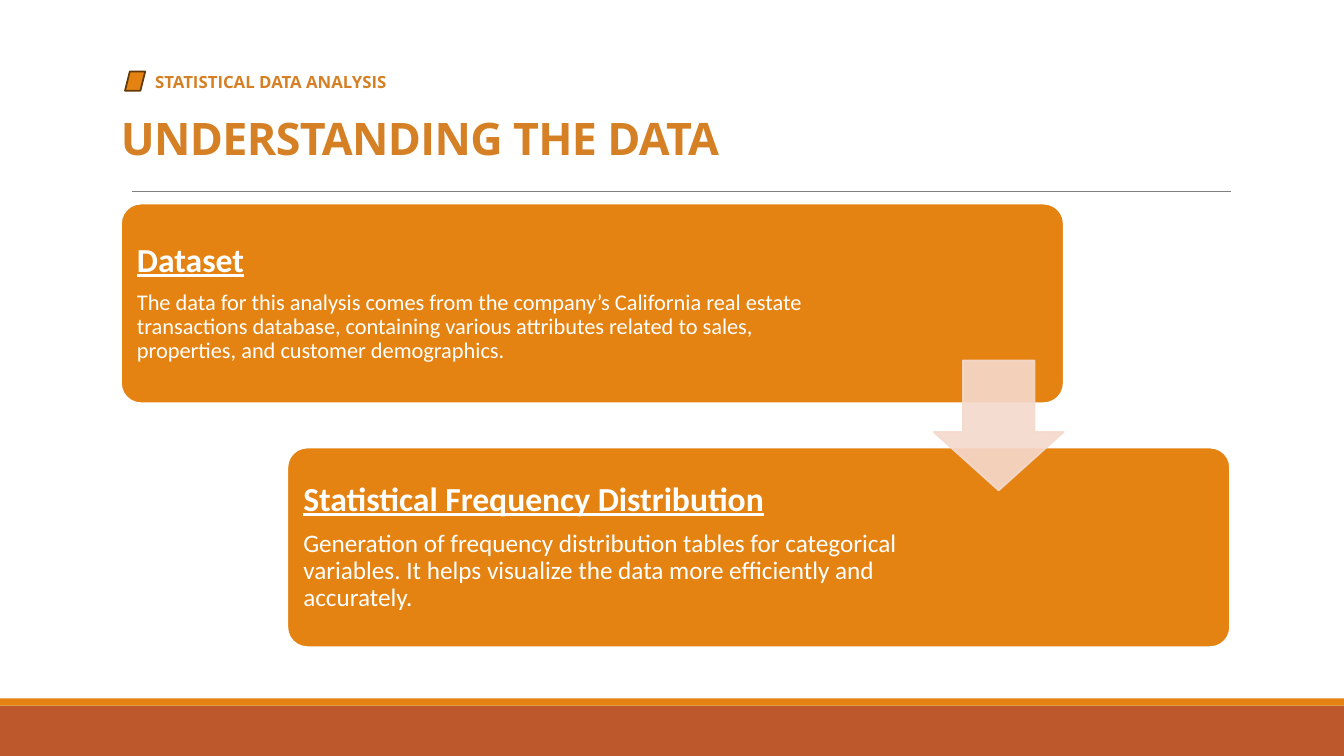
from dataclasses import dataclass

from lxml import etree
from pptx import Presentation
from pptx.dml.color import RGBColor
from pptx.enum import shapes, text
from pptx.oxml.ns import qn
from pptx.util import Inches, Pt

TITLE = "UNDERSTANDING THE DATA"
SECTION = "STATISTICAL DATA ANALYSIS"
# heading, body, body size, text width
CARDS = [
    ("Dataset",
     "The data for this analysis comes from the company’s California real estate "
     "transactions database, containing various attributes related to sales, "
     "properties, and customer demographics.", 16, 7.3),
    ("Statistical Frequency Distribution",
     "Generation of frequency distribution tables for categorical variables. "
     "It helps visualize the data more efficiently and accurately.", 18, 6.3),
]


@dataclass(frozen=True)
class Theme:
    orange: str = "E48312"
    rust: str = "BD582C"
    heading: str = "D58025"
    outline: str = "643908"
    rule: str = "808080"
    arrow: str = "F5D9CC"
    white: str = "FFFFFF"
    title_font: str = "Open Sans"
    body_font: str = "Calibri"
    title_size: float = 32
    section_size: float = 12
    card_heading_size: float = 24
    outline_width: float = 1.25


THEME = Theme()
WIDTH, HEIGHT = 13.33, 7.5
CARD_LEFT, CARD_TOP, CARD_WIDTH, CARD_HEIGHT = 1.2, 2.02, 9.35, 1.98
STEP_X, STEP_Y = 1.65, 2.42
CARD_PAD = 0.06
ARROW_SIZE = 1.29


def color(value):
    return RGBColor.from_string(value)


def add_shape(page, kind, bounds, fill, line=None, adjustments=()):
    shape = page.shapes.add_shape(kind, *map(Inches, bounds))
    shape.shadow.inherit = False
    shape.fill.solid()
    shape.fill.fore_color.rgb = color(fill)
    if line:
        shape.line.color.rgb = color(line)
        shape.line.width = Pt(THEME.outline_width)
    else:
        shape.line.fill.background()
    for index, value in enumerate(adjustments):
        shape.adjustments[index] = value
    return shape


def set_opacity(shape, percent):
    """Apply one opacity to both the fill and the outline."""
    for swatch in shape._element.spPr.iter(qn("a:srgbClr")):
        etree.SubElement(swatch, qn("a:alpha")).set("val", str(percent * 1000))


def add_span(para, content, font, size, fill, bold=False, underline=False):
    span = para.add_run()
    span.text = content
    span.font.name = font
    span.font.size = Pt(size)
    span.font.color.rgb = color(fill)
    span.font.bold = bold
    span.font.underline = underline
    return span


def add_text_box(page, bounds):
    box = page.shapes.add_textbox(*map(Inches, bounds))
    box.text_frame.word_wrap = True
    return box.text_frame


def add_base_bands(page):
    add_shape(page, shapes.MSO_SHAPE.RECTANGLE, (0, 7, WIDTH, 0.5), THEME.rust)
    add_shape(page, shapes.MSO_SHAPE.RECTANGLE, (0, 6.93, WIDTH, 0.07), THEME.orange)


def add_header(page):
    rule = page.shapes.add_connector(
        shapes.MSO_CONNECTOR.STRAIGHT, *map(Inches, (1.31, 1.9, 12.21, 1.9)))
    rule.line.color.rgb = color(THEME.rule)
    rule.line.width = Pt(0.5)
    etree.SubElement(rule._element.spPr, qn("a:effectLst"))

    title = page.shapes.title
    title.left, title.top, title.width, title.height = map(Inches, (1.1, 1.08, 11.1, 0.6))
    frame = title.text_frame
    frame.auto_size = text.MSO_AUTO_SIZE.NONE
    frame.vertical_anchor = text.MSO_ANCHOR.BOTTOM
    para = frame.paragraphs[0]
    para.alignment = text.PP_ALIGN.LEFT
    para.line_spacing = 0.85
    span = add_span(para, TITLE, THEME.title_font, THEME.title_size, THEME.heading, bold=True)
    span.font._element.set("spc", "-50")

    frame = add_text_box(page, (1.44, 0.66, 6.67, 0.3))
    add_span(frame.paragraphs[0], SECTION, THEME.title_font, THEME.section_size,
             THEME.heading, bold=True)
    add_shape(page, shapes.MSO_SHAPE.PARALLELOGRAM, (1.24, 0.71, 0.2, 0.19),
              THEME.orange, THEME.outline)


def add_card(page, left, top, heading, body, body_size, text_width):
    add_shape(page, shapes.MSO_SHAPE.ROUNDED_RECTANGLE,
              (left, top, CARD_WIDTH, CARD_HEIGHT), THEME.orange, THEME.white, [0.1])
    frame = add_text_box(page, (left + CARD_PAD, top + CARD_PAD,
                                text_width, CARD_HEIGHT - 2 * CARD_PAD))
    frame.vertical_anchor = text.MSO_ANCHOR.MIDDLE
    frame.margin_left = frame.margin_right = Inches(0.1)
    frame.margin_top = frame.margin_bottom = Inches(0.1)
    lines = [(heading, THEME.card_heading_size, True), (body, body_size, False)]
    for index, (content, size, is_heading) in enumerate(lines):
        para = frame.add_paragraph() if index else frame.paragraphs[0]
        para.line_spacing = 0.9
        para.space_after = Pt(size * 0.35)
        add_span(para, content, THEME.body_font, size, THEME.white,
                 bold=is_heading, underline=is_heading)


def add_step_arrow(page):
    """Place the arrow at the first card's right edge, centred on the gap."""
    gap_middle = CARD_TOP + (CARD_HEIGHT + STEP_Y) / 2
    arrow = add_shape(page, shapes.MSO_SHAPE.DOWN_ARROW,
                      (CARD_LEFT + CARD_WIDTH - ARROW_SIZE, gap_middle - ARROW_SIZE / 2,
                       ARROW_SIZE, ARROW_SIZE), THEME.arrow, THEME.arrow)
    arrow.adjustments[0] = 0.45
    arrow.adjustments[1] = 0.55
    arrow.adjustments[0], arrow.adjustments[1] = 0.55, 0.45
    set_opacity(arrow, 90)


def main():
    deck = Presentation()
    deck.slide_width, deck.slide_height = Inches(WIDTH), Inches(HEIGHT)
    page = deck.slides.add_slide(deck.slide_layouts[5])
    add_base_bands(page)
    add_header(page)
    for index, card in enumerate(CARDS):
        add_card(page, CARD_LEFT + index * STEP_X, CARD_TOP + index * STEP_Y, *card)
    add_step_arrow(page)
    deck.save("out.pptx")


if __name__ == "__main__":
    main()
